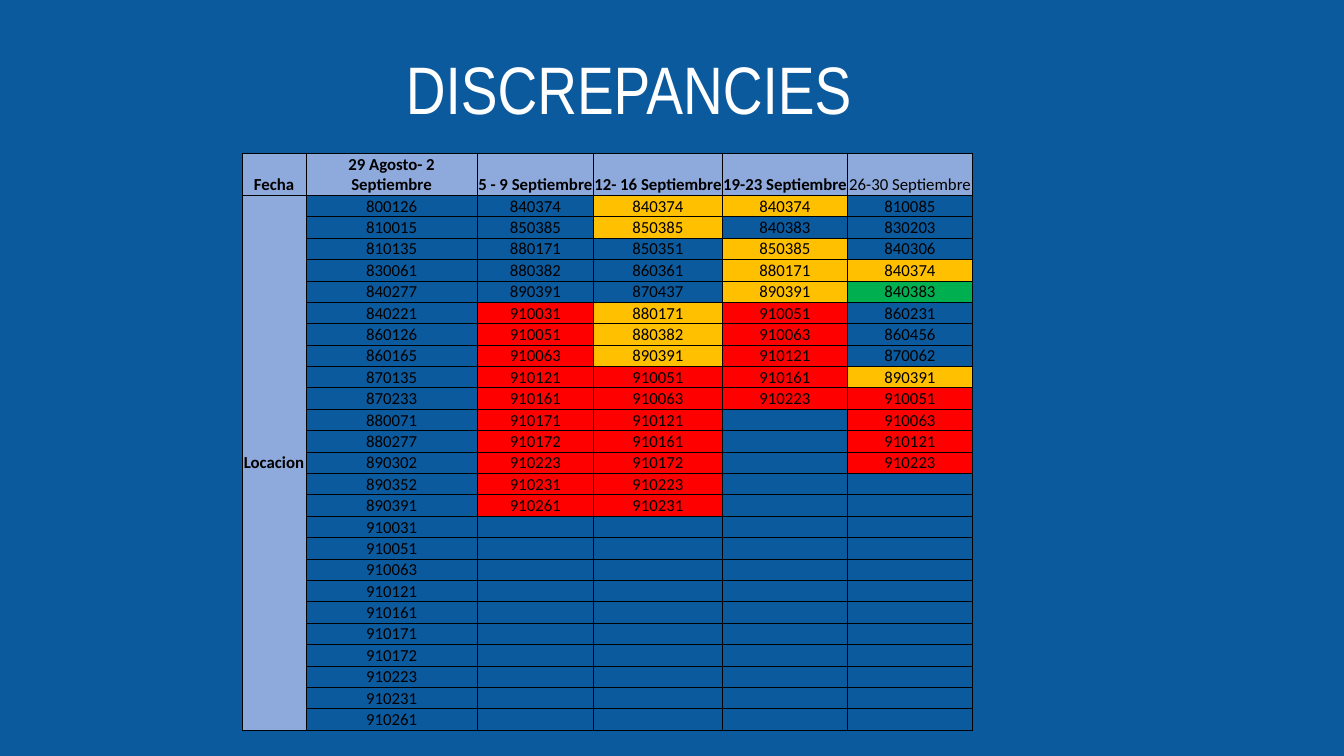
from lxml import etree
from pptx import Presentation
from pptx.dml.color import RGBColor
from pptx.enum import text
from pptx.oxml import ns
from pptx.util import Pt

BLUE = RGBColor(0x0C, 0x5A, 0x9E)
WHITE = RGBColor(0xFF, 0xFF, 0xFF)
BLACK = RGBColor(0, 0, 0)
PERIWINKLE = RGBColor(0x8E, 0xA9, 0xDB)
AMBER = RGBColor(0xFF, 0xC0, 0)
GREEN = RGBColor(0, 0xB0, 0x50)
RED = RGBColor(0xFF, 0, 0)
PLAIN = None

TITLE = "DISCREPANCIES"
ROW_LABELS = ("Fecha", "Locacion")
WEEKS = [
    ("29 Agosto- 2 Septiembre", 122.4, [
        (PLAIN, "800126 810015 810135 830061 840277 840221 860126 860165 870135"),
        (PLAIN, "870233 880071 880277 890302 890352 890391 910031 910051 910063"),
        (PLAIN, "910121 910161 910171 910172 910223 910231 910261"),
    ]),
    ("5 - 9 Septiembre", 83, [
        (PLAIN, "840374 850385 880171 880382 890391"),
        (RED, "910031 910051 910063 910121 910161 910171 910172 910223 910231 910261"),
    ]),
    ("12- 16 Septiembre", 92.2, [
        (AMBER, "840374 850385"),
        (PLAIN, "850351 860361 870437"),
        (AMBER, "880171 880382 890391"),
        (RED, "910051 910063 910121 910161 910172 910223 910231"),
    ]),
    ("19-23 Septiembre", 89.3, [
        (AMBER, "840374"),
        (PLAIN, "840383"),
        (AMBER, "850385 880171 890391"),
        (RED, "910051 910063 910121 910161 910223"),
    ]),
    ("26-30 Septiembre", 89.3, [
        (PLAIN, "810085 830203 840306"),
        (AMBER, "840374"),
        (GREEN, "840383"),
        (PLAIN, "860231 860456 870062"),
        (AMBER, "890391"),
        (RED, "910051 910063 910121 910223"),
    ]),
]
LABEL_WIDTH = 45.6
HEADER_HEIGHT = 30
ROW_HEIGHT = 15.3
LOCATION_ROWS = 25
TABLE_LEFT, TABLE_TOP = 172.9, 109.5


def add_run(paragraph, words, font, size, colour, bold=False):
    paragraph.alignment = text.PP_ALIGN.CENTER
    run = paragraph.add_run()
    run.text = words
    run.font.name = font
    run.font.size = Pt(size)
    run.font.bold = bold
    run.font.color.rgb = colour


def add_borders(cell):
    properties = cell._tc.get_or_add_tcPr()
    for position, side in enumerate(("lnL", "lnR", "lnT", "lnB")):
        line = etree.Element(ns.qn(f"a:{side}"), w=str(Pt(0.5)))
        fill = etree.SubElement(line, ns.qn("a:solidFill"))
        etree.SubElement(fill, ns.qn("a:srgbClr"), val=str(BLACK))
        properties.insert(position, line)


def fill_cell(cell, words="", colour=PLAIN, bold=False, anchor=text.MSO_ANCHOR.BOTTOM):
    cell.margin_left = cell.margin_right = cell.margin_top = Pt(0.5)
    cell.margin_bottom = 0
    cell.vertical_anchor = anchor
    if colour is PLAIN:
        cell.fill.background()
    else:
        cell.fill.solid()
        cell.fill.fore_color.rgb = colour
    add_borders(cell)
    paragraph = cell.text_frame.paragraphs[0]
    if words:
        add_run(paragraph, words, "Calibri", 12, BLACK, bold)
    else:
        etree.SubElement(paragraph._p, ns.qn("a:endParaRPr"), sz="1200")


def add_title(slide):
    box = slide.shapes.add_textbox(Pt(167), Pt(26), Pt(564.5), Pt(69.8))
    frame = box.text_frame
    frame.word_wrap = True
    frame.vertical_anchor = text.MSO_ANCHOR.BOTTOM
    frame.margin_left = frame.margin_right = 0
    frame.margin_top = frame.margin_bottom = Pt(3.6)
    paragraph = frame.paragraphs[0]
    paragraph.line_spacing = 0.9
    add_run(paragraph, TITLE, "Arial Narrow", 48, WHITE)


def add_discrepancy_table(slide):
    widths = [LABEL_WIDTH] + [width for _, width, _ in WEEKS]
    heights = [HEADER_HEIGHT] + [ROW_HEIGHT] * LOCATION_ROWS
    table = slide.shapes.add_table(
        len(heights), len(widths), Pt(TABLE_LEFT), Pt(TABLE_TOP),
        Pt(sum(widths)), Pt(sum(heights))).table
    table.first_row = table.horz_banding = False
    for column, width in zip(table.columns, widths):
        column.width = Pt(width)
    for row, height in zip(table.rows, heights):
        row.height = Pt(height)

    date_label, location_label = ROW_LABELS
    fill_cell(table.cell(0, 0), date_label, PERIWINKLE, True)
    table.cell(1, 0).merge(table.cell(LOCATION_ROWS, 0))
    fill_cell(table.cell(1, 0), location_label, PERIWINKLE, True, text.MSO_ANCHOR.MIDDLE)
    for row in range(2, LOCATION_ROWS + 1):
        fill_cell(table.cell(row, 0), colour=PERIWINKLE)

    for column, (week, _, groups) in enumerate(WEEKS, 1):
        fill_cell(table.cell(0, column), week, PERIWINKLE, column < len(WEEKS))
        entries = [(code, colour) for colour, codes in groups for code in codes.split()]
        entries += [("", PLAIN)] * (LOCATION_ROWS - len(entries))
        for row, (code, colour) in enumerate(entries, 1):
            fill_cell(table.cell(row, column), code, colour)


def main():
    presentation = Presentation()
    presentation.slide_width, presentation.slide_height = Pt(960), Pt(540)
    slide = presentation.slides.add_slide(presentation.slide_layouts[6])
    slide.background.fill.solid()
    slide.background.fill.fore_color.rgb = BLUE
    add_title(slide)
    add_discrepancy_table(slide)
    presentation.save("out.pptx")


if __name__ == "__main__":
    main()
